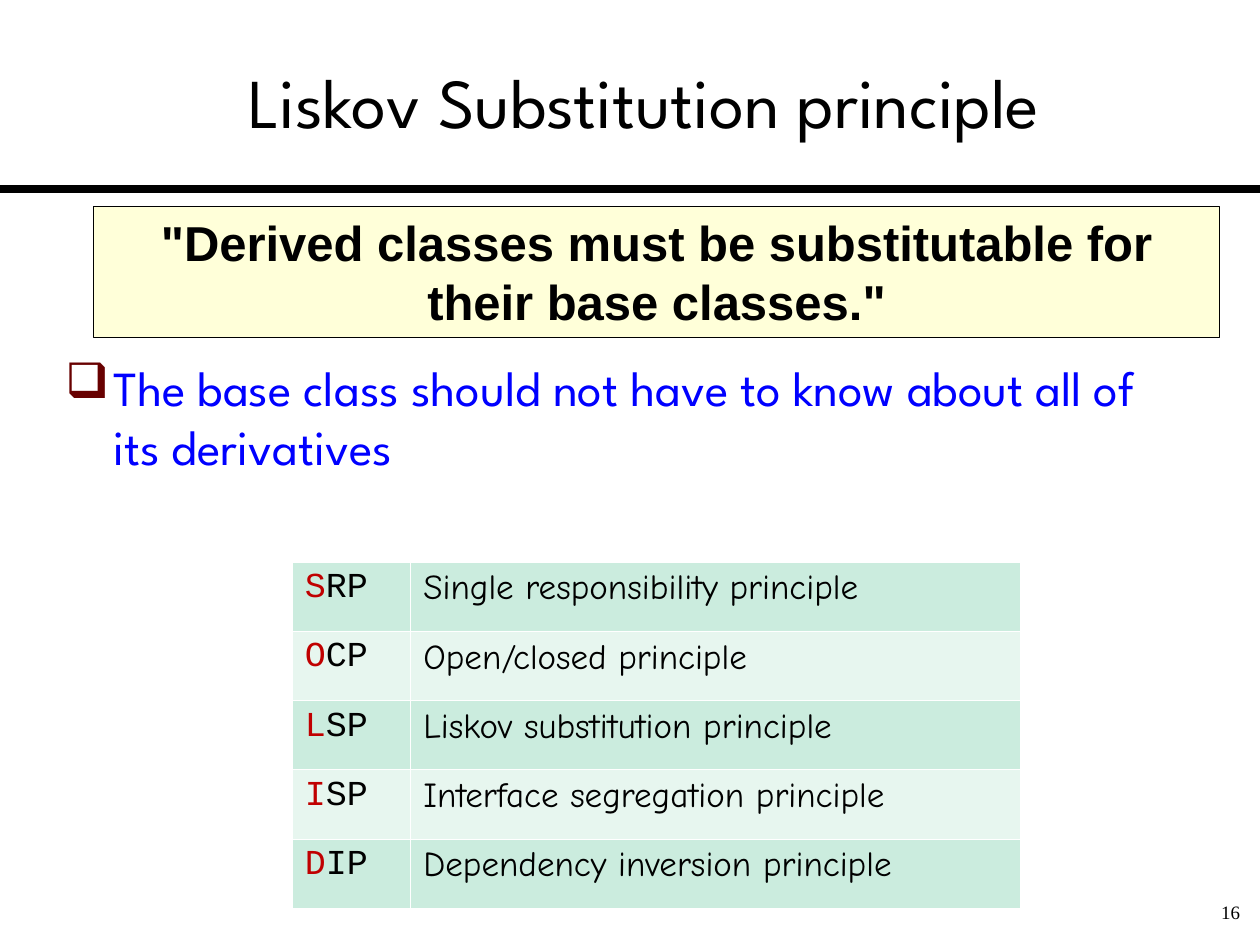
"""Build the Liskov substitution principle slide."""
from lxml import etree
from pptx import Presentation
from pptx.dml.color import RGBColor
from pptx.enum import shapes, text
from pptx.oxml import ns
from pptx.util import Inches, Pt

BLACK = RGBColor(0x00, 0x00, 0x00)
WHITE = RGBColor(0xFF, 0xFF, 0xFF)
BLUE = RGBColor(0x00, 0x00, 0xFF)
RED = RGBColor(0xC0, 0x00, 0x00)
MAROON = RGBColor(0x68, 0x00, 0x00)
CREAM = RGBColor(0xFF, 0xFF, 0xD9)
BANDS = (RGBColor(0xCB, 0xEC, 0xDE), RGBColor(0xE7, 0xF6, 0xEF))

TITLE = "Liskov Substitution principle"
QUOTE = '"Derived classes must be substitutable for their base classes."'
POINT = "The base class should not have to know about all of its derivatives"
PAGE_NUMBER = "16"
PRINCIPLES = [
    ("SRP", "Single responsibility principle"),
    ("OCP", "Open/closed principle"),
    ("LSP", "Liskov substitution principle"),
    ("ISP", "Interface segregation principle"),
    ("DIP", "Dependency inversion principle"),
]
COLUMN_WIDTHS = (0.94, 4.84)
ROW_HEIGHT = 0.55


def add_span(para, words, font, size, color, bold=False):
    span = para.add_run()
    span.text = words
    span.font.name = font
    span.font.size = Pt(size)
    span.font.color.rgb = color
    span.font.bold = bold


def add_box(page, left, top, width, height, align=text.PP_ALIGN.LEFT):
    box = page.shapes.add_textbox(Inches(left), Inches(top), Inches(width), Inches(height))
    box.text_frame.word_wrap = True
    para = box.text_frame.paragraphs[0]
    para.alignment = align
    return box, para


def add_child(parent, tag, **attributes):
    return etree.SubElement(parent, ns.qn(tag), attributes)


def add_bullet(para, mark, color, indent):
    props = para._p.get_or_add_pPr()
    props.set("marL", str(Inches(indent)))
    props.set("indent", str(-Inches(indent)))
    add_child(add_child(props, "a:buClr"), "a:srgbClr", val=str(color))
    add_child(props, "a:buChar", char=mark)


def style_cell(cell, fill):
    props = cell._tc.get_or_add_tcPr()
    for side in ("a:lnL", "a:lnR", "a:lnT", "a:lnB"):
        border = add_child(props, side, w=str(Pt(0.45)))
        add_child(add_child(border, "a:solidFill"), "a:srgbClr", val=str(WHITE))
    cell.fill.solid()
    cell.fill.fore_color.rgb = fill


def add_rule(page):
    rule = page.shapes.add_connector(
        shapes.MSO_CONNECTOR.STRAIGHT, Inches(0), Inches(1.5), Inches(10), Inches(1.5))
    rule.line.color.rgb = BLACK
    rule.line.width = Pt(4.5)
    add_child(rule._element.spPr, "a:effectLst")


def add_title(page):
    box, para = add_box(page, 0.42, 0.17, 9.38, 1.25, text.PP_ALIGN.CENTER)
    box.text_frame.margin_left = box.text_frame.margin_right = 0
    box.text_frame.vertical_anchor = text.MSO_ANCHOR.MIDDLE
    add_span(para, TITLE, "League Spartan", 40, BLACK)


def add_page_number(page):
    box, para = add_box(page, 9.08, 7.13, 0.86, 0.29, text.PP_ALIGN.RIGHT)
    para.line_spacing = 0.8
    add_span(para, PAGE_NUMBER, "Times New Roman", 10.8, BLACK)


def add_quote(page):
    box = page.shapes.add_shape(
        shapes.MSO_SHAPE.RECTANGLE, Inches(0.74), Inches(1.64), Inches(8.94), Inches(1.04))
    box.shadow.inherit = False
    box.fill.solid()
    box.fill.fore_color.rgb = CREAM
    box.line.color.rgb = BLACK
    box.line.width = Pt(0.75)
    box.text_frame.word_wrap = True
    box.text_frame.vertical_anchor = text.MSO_ANCHOR.TOP
    para = box.text_frame.paragraphs[0]
    para.alignment = text.PP_ALIGN.CENTER
    add_span(para, QUOTE, "Arial", 28, BLACK, bold=True)


def add_principles(page):
    table = page.shapes.add_table(
        len(PRINCIPLES), len(COLUMN_WIDTHS), Inches(2.32), Inches(4.46),
        Inches(sum(COLUMN_WIDTHS)), Inches(ROW_HEIGHT * len(PRINCIPLES))).table
    for column, width in zip(table.columns, COLUMN_WIDTHS):
        column.width = Inches(width)
    for index, (acronym, name) in enumerate(PRINCIPLES):
        cells = table.rows[index].cells
        for cell in cells:
            style_cell(cell, BANDS[index % 2])
        short, full = (cell.text_frame.paragraphs[0] for cell in cells)
        add_span(short, acronym[0], "Courier New", 20, RED)
        add_span(short, acronym[1:], "Courier New", 20, BLACK)
        add_span(full, name, "Comic Neue", 20, BLACK)


def add_point(page):
    box, para = add_box(page, 0.42, 2.79, 9, 2.36)
    add_bullet(para, "❑", MAROON, 0.38)
    add_span(para, POINT, "League Spartan", 28, BLUE)


def main():
    deck = Presentation()
    deck.slide_width, deck.slide_height = Inches(10), Inches(7.5)
    page = deck.slides.add_slide(deck.slide_layouts[6])
    for add_part in (add_rule, add_title, add_page_number, add_quote, add_principles, add_point):
        add_part(page)
    deck.save("out.pptx")


if __name__ == "__main__":
    main()
